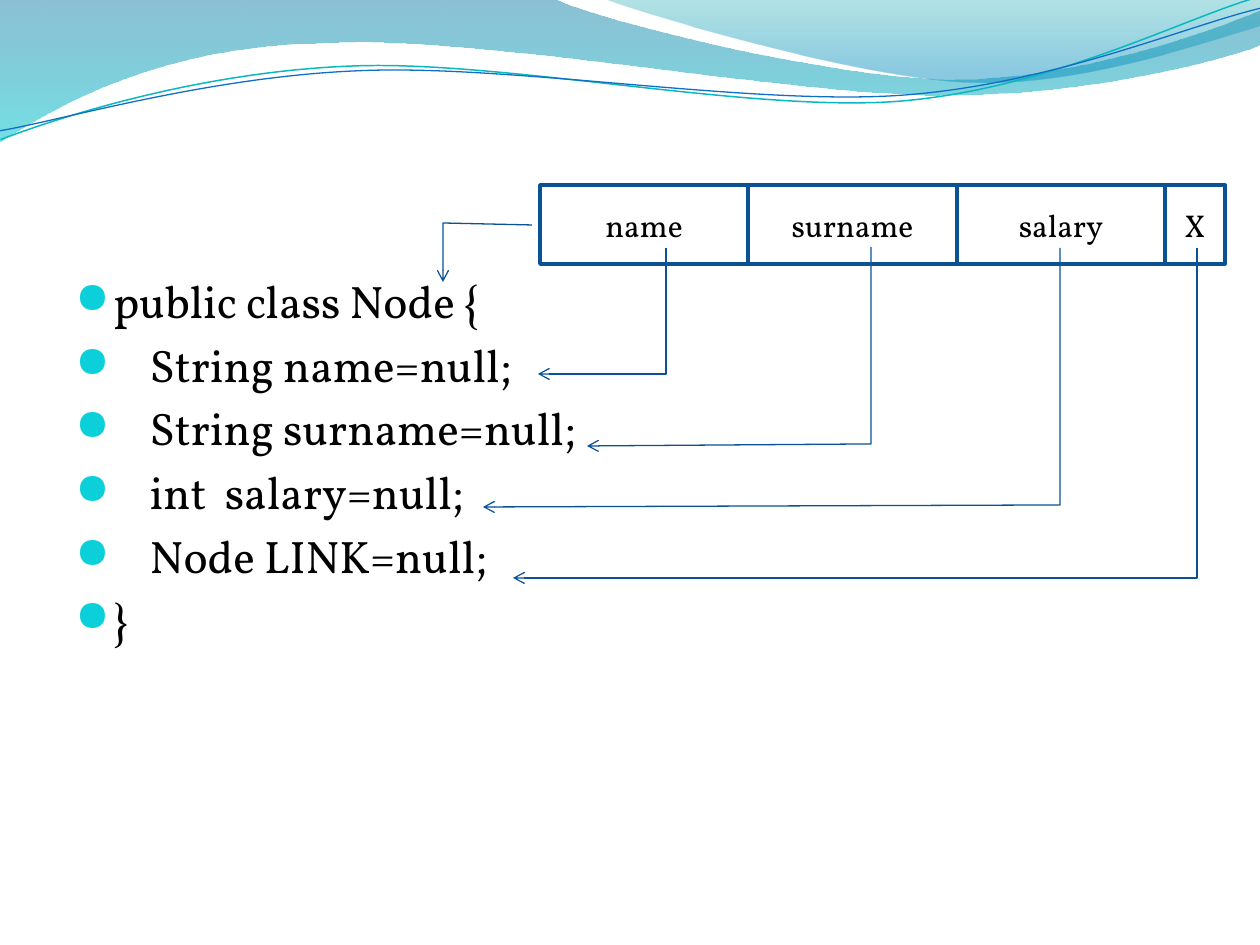
from lxml import etree
from pptx import Presentation, util as u
from pptx.dml.color import RGBColor
from pptx.enum import shapes, text
from pptx.oxml.ns import qn

PX = 914400 / 126
FONT = "Vollkorn"
BLACK = RGBColor(0, 0, 0)
WHITE = RGBColor(255, 255, 255)
BOX_LINE = RGBColor(0x0B, 0x52, 0x92)
ARROW = RGBColor(0x09, 0x52, 0x95)
TEAL = RGBColor(0x0A, 0xB8, 0xBF)
BLUE = RGBColor(0x0F, 0x6F, 0xC6)
BULLET = RGBColor(0x0B, 0xD0, 0xD9)

# Paths: a pair is a straight step, six numbers are a Bezier step.
# Gradient stops: position, colour, opacity in percent.
WAVES = [
    ([(0, 0), (554, -1), (600, 21, 837, 79, 955, 79), (1075, 79, 1207, 33, 1260, 11),
      (1261, 45), (1239, 55, 1096, 96, 940, 95), (784, 95, 481, 35, 324, 43),
      (163, 45, 58, 105, -1, 142)],
     [(0, RGBColor(0, 0x74, 0xA1), 45), (1, RGBColor(0, 0xC6, 0xCF), 55)]),
    ([(604, -1), (641, 14, 859, 78, 969, 82), (1079, 87, 1211, 40, 1260, 26), (1260, 0)],
     [(0, RGBColor(0, 0xA1, 0xA9), 30), (0.8, RGBColor(0, 0x8B, 0xBF), 45)]),
]
STRAND_TILT = -2.7
STRANDS = [
    ([(-2, 110), (59, 90, 199, 52, 350, 53), (499, 53, 745, 118, 896, 114),
      (1049, 109, 1184, 45, 1260, 27)], TEAL, 0.85),
    ([(-2, 101), (58, 94, 208, 57, 358, 58), (509, 58, 751, 112, 902, 108),
      (1052, 104, 1188, 52, 1263, 38)], BLUE, 0.75),
]
CODE = ["public class Node {", "    String name=null;", "    String surname=null;",
        "    int  salary=null;", "    Node LINK=null;", "}"]
FIELDS = [("name", 208), ("surname", 209), ("salary", 208), ("X", 60)]
FIELD_LEFT, FIELD_TOP, FIELD_HEIGHT = 540, 185, 79
ARROWS = [
    [(532, 225), (443, 223), (443, 282)],
    [(666, 248), (666, 374), (538, 374)],
    [(871, 247), (871, 444), (587, 446)],
    [(1060, 248), (1060, 505), (483, 507)],
    [(1197, 248), (1197, 578), (513, 578)],
]


def px(n):
    return u.Emu(round(n * PX))


def add_path(s, steps, close=False):
    """Lay every point as a line step, then join each Bezier's three points."""
    points = [(px(step[i]), px(step[i + 1])) for step in steps for i in range(0, len(step), 2)]
    builder = s.shapes.build_freeform(*points[0])
    builder.add_line_segments(points[1:], close=close)
    sp = builder.convert_to_shape()
    sp.shadow.inherit = False
    lines = iter(list(sp.element.spPr.iter(qn("a:lnTo"))))
    for step in steps[1:]:
        line = next(lines)
        if len(step) == 6:
            line.addprevious(curve := etree.Element(qn("a:cubicBezTo")))
            for part in (line, next(lines), next(lines)):
                curve.append(part[0])
                part.getparent().remove(part)
    return sp


def add_wave(s, steps, stops):
    sp = add_path(s, steps, close=True)
    sp.line.fill.background()
    sp.fill.gradient()
    sp.fill.gradient_angle = 270
    for stop, (position, color, _) in zip(sp.fill.gradient_stops, stops):
        stop.position = position
        stop.color.rgb = color
    for clr, (_, _, opacity) in zip(sp.element.spPr.iter(qn("a:srgbClr")), stops):
        etree.SubElement(clr, qn("a:alpha"), val=str(opacity * 1000))


def add_line(s, steps, color, width, arrow=False):
    sp = add_path(s, steps)
    sp.fill.background()
    sp.line.color.rgb = color
    sp.line.width = u.Pt(width)
    if arrow:
        etree.SubElement(sp.element.spPr.find(qn("a:ln")), qn("a:tailEnd"), type="arrow")
    return sp


def write(p, words, size, align=None):
    p.alignment = align
    r = p.add_run()
    r.text = words
    r.font.name, r.font.size = FONT, u.Pt(size)
    r.font.color.rgb = BLACK


def add_bullet(p, first):
    """Hanging bullet, with a fifth of a line before all but the first."""
    pPr = p._p.get_or_add_pPr()
    pPr.set("marL", str(px(38)))
    pPr.set("indent", str(-px(38)))
    if not first:
        before = etree.SubElement(pPr, qn("a:spcBef"))
        etree.SubElement(before, qn("a:spcPct"), val="20000")
    color = etree.SubElement(pPr, qn("a:buClr"))
    etree.SubElement(color, qn("a:srgbClr"), val=str(BULLET))
    etree.SubElement(pPr, qn("a:buSzPct"), val="95000")
    etree.SubElement(pPr, qn("a:buFont"), typeface="OpenSymbol")
    etree.SubElement(pPr, qn("a:buChar"), char="●")


def add_code(s):
    tf = s.shapes.add_textbox(px(63), px(267), px(1134), px(605)).text_frame
    tf.word_wrap = True
    for i, line in enumerate(CODE):
        p = tf.add_paragraph() if i else tf.paragraphs[0]
        add_bullet(p, first=i == 0)
        write(p, line, 26)


def add_fields(s):
    left = FIELD_LEFT
    for name, width in FIELDS:
        sp = s.shapes.add_shape(shapes.MSO_SHAPE.RECTANGLE, px(left), px(FIELD_TOP),
                                px(width), px(FIELD_HEIGHT))
        sp.shadow.inherit = False
        sp.fill.solid()
        sp.fill.fore_color.rgb = WHITE
        sp.line.color.rgb = BOX_LINE
        sp.line.width = u.Pt(2)
        tf = sp.text_frame
        tf.vertical_anchor = text.MSO_ANCHOR.MIDDLE
        write(tf.paragraphs[0], name, 18, text.PP_ALIGN.CENTER)
        left += width


def main():
    prs = Presentation()
    prs.slide_width, prs.slide_height = px(1260), px(945)
    s = prs.slides.add_slide(prs.slide_layouts[6])
    for steps, stops in WAVES:
        add_wave(s, steps, stops)
    for steps, color, width in STRANDS:
        add_line(s, steps, color, width).rotation = STRAND_TILT
    add_code(s)
    add_fields(s)
    for steps in ARROWS:
        add_line(s, steps, ARROW, 0.75, arrow=True)
    prs.save("out.pptx")


if __name__ == "__main__":
    main()
